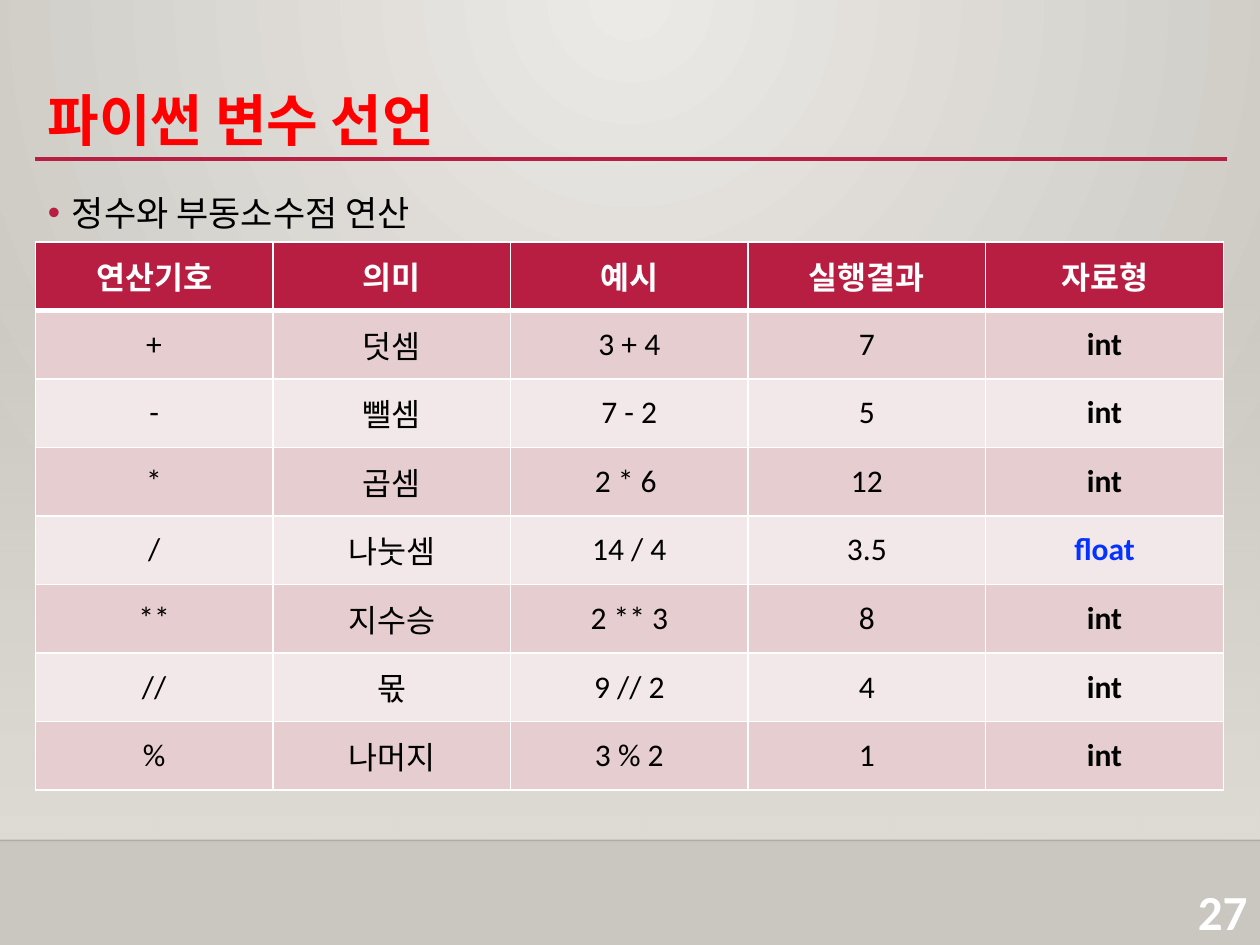
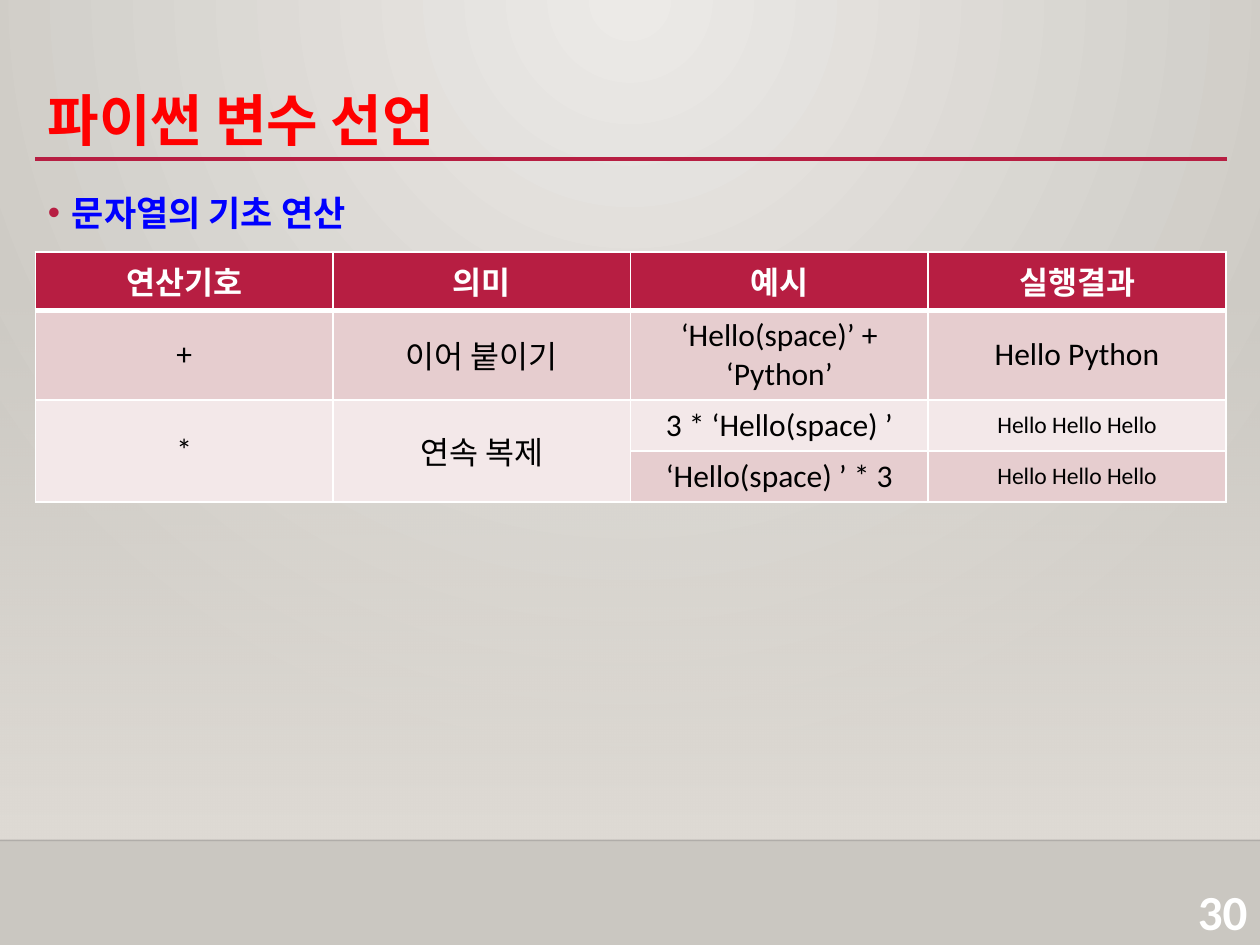
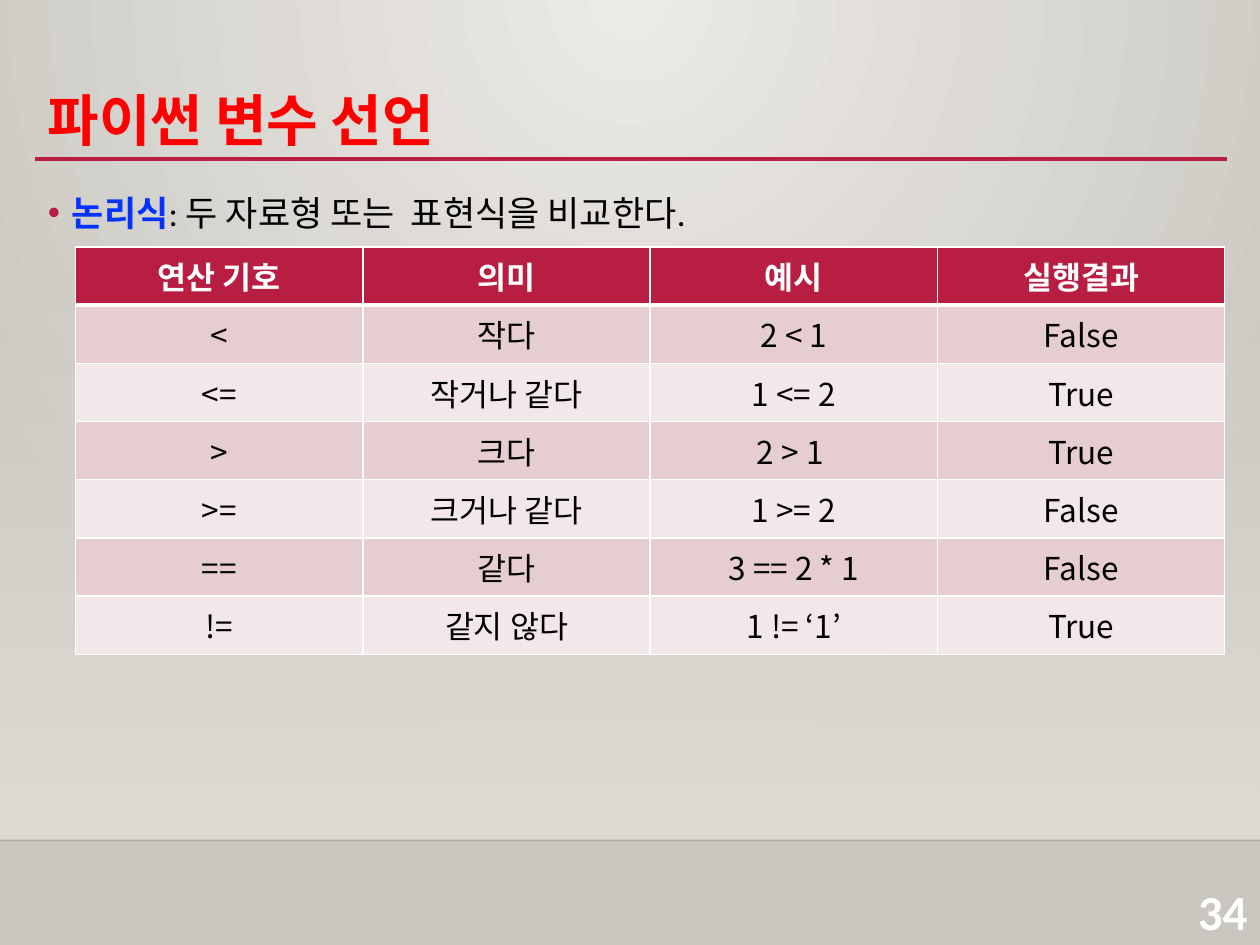
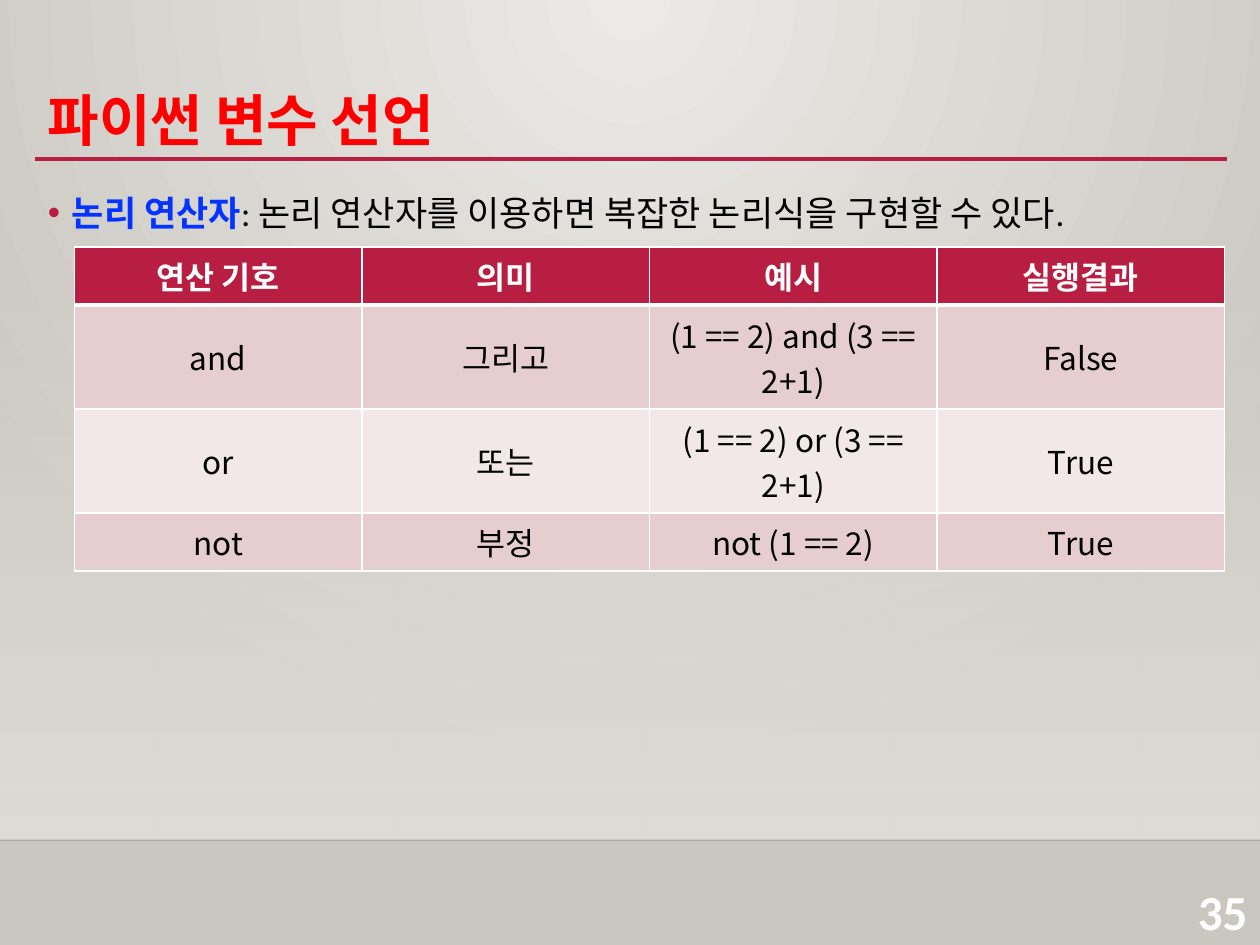
import pptx
import pptx.dml.color
import pptx.enum.shapes
import pptx.enum.text
import pptx.oxml.ns
import pptx.util
from lxml import etree

# Shared look
SLIDE_W, SLIDE_H = 10, 7.5
LEFT, WIDTH = 2.8, 94.5  # content column, percent of slide width
ONE_LINE, TWO_LINES = 6.16, 11  # table row heights, percent of slide height
CRIMSON, WHITE, BLACK = "B71E42", "FFFFFF", "000000"
RED, BLUE, PURE_BLUE = "FF0000", "0432FF", "0000FF"
BANDS = ["E6CDCF", "F3E8E9"]
LATIN, KOREAN = "Calibri", "Noto Sans CJK KR"
TITLE = "파이썬 변수 선언"
ALIGN = pptx.enum.text.PP_ALIGN
ANCHOR = pptx.enum.text.MSO_ANCHOR


def x(percent):
    return pptx.util.Inches(SLIDE_W * percent / 100)


def y(percent):
    return pptx.util.Inches(SLIDE_H * percent / 100)


def rgb(color):
    return pptx.dml.color.RGBColor.from_string(color)


def sub(parent, tag, **attrs):
    el = etree.SubElement(parent, pptx.oxml.ns.qn(tag))
    for name, value in attrs.items():
        el.set(name, str(value))
    return el


def set_font(font, size, color=None, bold=None, name=LATIN):
    font.name, font.size, font.bold = name, pptx.util.Pt(size), bold
    if color:
        font.color.rgb = rgb(color)
    sub(font._element, "a:ea", typeface=KOREAN)


def set_alpha(element, color, percent):
    for el in element.xpath(f".//a:srgbClr[@val='{color}']")[:1]:
        sub(el, "a:alpha", val=percent * 1000)


def set_gradient(fill, first, last):
    fill.gradient()
    for stop, color, position in zip(fill.gradient_stops, (first, last), (0, 1)):
        stop.color.rgb = rgb(color)
        stop.position = position


def place(shape, left, top, width, height):
    shape.left, shape.top = x(left), y(top)
    shape.width, shape.height = x(width), y(height)


def add_line(s, left, right, top, color, weight):
    line = s.shapes.add_connector(
        pptx.enum.shapes.MSO_CONNECTOR.STRAIGHT, x(left), y(top), x(right), y(top))
    line.line.color.rgb = rgb(color)
    line.line.width = pptx.util.Pt(weight)
    sub(line._element.spPr, "a:effectLst")
    return line


def decorate_master(prs, s):
    """Draw the common parts on s, then hand them to the slide master."""
    master = prs.slide_master
    # Radial background
    set_gradient(master.background.fill, "ECEAE7", "CAC7C1")
    grad = master.element.xpath("./p:cSld/p:bg//a:gradFill")[0]
    for lin in grad.xpath("./a:lin"):
        grad.remove(lin)
    radial = sub(grad, "a:path", path="circle")
    sub(radial, "a:fillToRect", l=43000, t=0, r=43000, b=100000)
    # Fading floor and its edge
    floor = s.shapes.add_shape(
        pptx.enum.shapes.MSO_SHAPE.RECTANGLE, 0, y(29.33), x(100), y(59.6))
    floor.shadow.inherit = False
    floor.line.fill.background()
    set_gradient(floor.fill, "DFDBD5", "DFDBD5")
    floor.fill.gradient_angle = 270
    set_alpha(floor._element, "DFDBD5", 0)
    edge = add_line(s, 0, 100, 88.93, "000001", 1)
    set_alpha(edge._element, "000001", 20)
    # Rule under the title
    rule = add_line(s, LEFT, 97.4, 16.8, CRIMSON, 2.5)
    for number, shape in enumerate((floor, edge, rule), 20):
        shape._element.xpath(".//p:cNvPr")[0].set("id", str(number))
        master.element.cSld.spTree.append(shape._element)


def add_title(s):
    title = s.shapes.title
    place(title, LEFT, 1.47, WIDTH, 15.33)
    tf = title.text_frame
    tf.text = TITLE
    tf.auto_size = pptx.enum.text.MSO_AUTO_SIZE.NONE
    tf.vertical_anchor = ANCHOR.BOTTOM
    p = tf.paragraphs[0]
    p.alignment, p.line_spacing = ALIGN.LEFT, 1.5
    set_font(p.font, 32, RED, True)


def add_bullet(s, runs):
    body = s.placeholders[1]
    place(body, LEFT, 18.67, WIDTH, 69.6)
    tf = body.text_frame
    tf.auto_size = pptx.enum.text.MSO_AUTO_SIZE.NONE
    p = tf.paragraphs[0]
    p.line_spacing, p.space_before = 1.2, pptx.util.Pt(0)
    pPr = p._p.get_or_add_pPr()
    indent = pptx.util.Inches(0.19)
    pPr.set("marL", str(indent))
    pPr.set("indent", str(-indent))
    sub(sub(pPr, "a:buClr"), "a:srgbClr", val=CRIMSON)
    sub(pPr, "a:buFont", typeface="Arial")
    sub(pPr, "a:buChar", char="•")
    set_font(p.font, 20)
    for text, color, bold in runs:
        r = p.add_run()
        r.text = text
        r.font.bold = bold
        r.font.color.rgb = rgb(color)


def add_page_number(s, number):
    box = s.shapes.add_textbox(x(91.3), y(92.67), x(8.7), y(7.33))
    tf = box.text_frame
    tf.word_wrap = True
    p = tf.paragraphs[0]
    p.text = str(number)
    p.alignment = ALIGN.RIGHT
    set_font(p.font, 28, WHITE, True)


def set_borders(cell, row):
    tcPr = cell._tc.get_or_add_tcPr()
    thick_side = {0: "B", 1: "T"}.get(row)  # heavy line below the header
    for side in "LRTB":
        weight = 3 if side == thick_side else 1
        ln = sub(tcPr, f"a:ln{side}", w=pptx.util.Pt(weight))
        sub(sub(ln, "a:solidFill"), "a:srgbClr", val=WHITE)


def add_table(s, left, top, width, heights, rows, font=LATIN, accents=None):
    """A None cell joins the cell above; accents maps a text to font settings."""
    n_rows, n_cols = len(rows), len(rows[0])
    table = s.shapes.add_table(
        n_rows, n_cols, x(left), y(top), x(width), y(sum(heights))).table
    for i, row in enumerate(rows):
        table.rows[i].height = y(heights[i])
        for j, text in enumerate(row):
            cell = table.cell(i, j)
            set_borders(cell, i)
            cell.fill.solid()
            cell.fill.fore_color.rgb = rgb(BANDS[(i - 1) % 2] if i else CRIMSON)
            if text is None:
                table.cell(i - 1, j).merge(cell)
                continue
            cell.vertical_anchor = ANCHOR.MIDDLE
            p = cell.text_frame.paragraphs[0]
            p.text = text
            p.alignment = ALIGN.CENTER
            style = dict(size=18, color=BLACK if i else WHITE, bold=i == 0, name=font)
            style.update((accents or {}).get(text, {}))
            set_font(p.font, **style)


def add_slide(prs, number, runs):
    s = prs.slides.add_slide(prs.slide_layouts[1])
    add_title(s)
    add_bullet(s, runs)
    add_page_number(s, number)
    return s


def main():
    prs = pptx.Presentation()
    prs.slide_width, prs.slide_height = x(100), y(100)

    # Arithmetic operators
    s = add_slide(prs, 27, [("정수와 부동소수점 연산", BLACK, False)])
    decorate_master(prs, s)
    add_table(s, LEFT, 25.6, 94.3, [7.25] * 8, [
        ["연산기호", "의미", "예시", "실행결과", "자료형"],
        ["+", "덧셈", "3 + 4", "7", "int"],
        ["-", "뺄셈", "7 - 2", "5", "int"],
        ["*", "곱셈", "2 * 6 ", "12", "int"],
        ["/", "나눗셈", "14 / 4", "3.5", "float"],
        ["**", "지수승", "2 ** 3", "8", "int"],
        ["//", "몫", "9 // 2", "4", "int"],
        ["%", "나머지", "3 % 2", "1", "int"],
    ], accents={"int": dict(bold=True), "float": dict(bold=True, color=BLUE)})

    # String operators
    s = add_slide(prs, 30, [("문자열의 기초 연산", PURE_BLUE, True)])
    add_table(s, LEFT, 26.67, WIDTH, [ONE_LINE, 9.5, 5.4, 5.4], [
        ["연산기호", "의미", "예시", "실행결과"],
        ["+", "이어 붙이기", "‘Hello(space)’ + ‘Python’", "Hello Python"],
        ["*", "연속 복제", "3 * ‘Hello(space) ’", "Hello Hello Hello"],
        [None, None, "‘Hello(space) ’ * 3", "Hello Hello Hello"],
    ], accents={"Hello Hello Hello": dict(size=13.5)})

    # Comparison operators
    logic_header = ["연산 기호", "의미", "예시", "실행결과"]
    s = add_slide(prs, 34, [
        ("논리식", BLUE, True), (": 두 자료형 또는  표현식을 비교한다.", BLACK, False)])
    add_table(s, 6, 26.13, 91.2, [ONE_LINE] * 7, [
        logic_header,
        ["<", "작다", "2 < 1", "False"],
        ["<=", "작거나 같다", "1 <= 2", "True"],
        [">", "크다", "2 > 1 ", "True"],
        [">=", "크거나 같다", "1 >= 2", "False"],
        ["==", "같다", "3 == 2 * 1", "False"],
        ["!=", "같지 않다", "1 != ‘1’", "True"],
    ], font=KOREAN)

    # Logical operators
    s = add_slide(prs, 35, [
        ("논리 연산자", BLUE, True),
        (": 논리 연산자를 이용하면 복잡한 논리식을 구현할 수 있다.", BLACK, False)])
    add_table(s, 5.9, 26.13, 91.3, [ONE_LINE, TWO_LINES, TWO_LINES, ONE_LINE], [
        logic_header,
        ["and", "그리고", "(1 == 2) and (3 == 2+1)", "False"],
        ["or", "또는", "(1 == 2) or (3 == 2+1)", "True"],
        ["not", "부정", "not (1 == 2)", "True"],
    ], font=KOREAN)

    prs.save("out.pptx")


if __name__ == "__main__":
    main()
